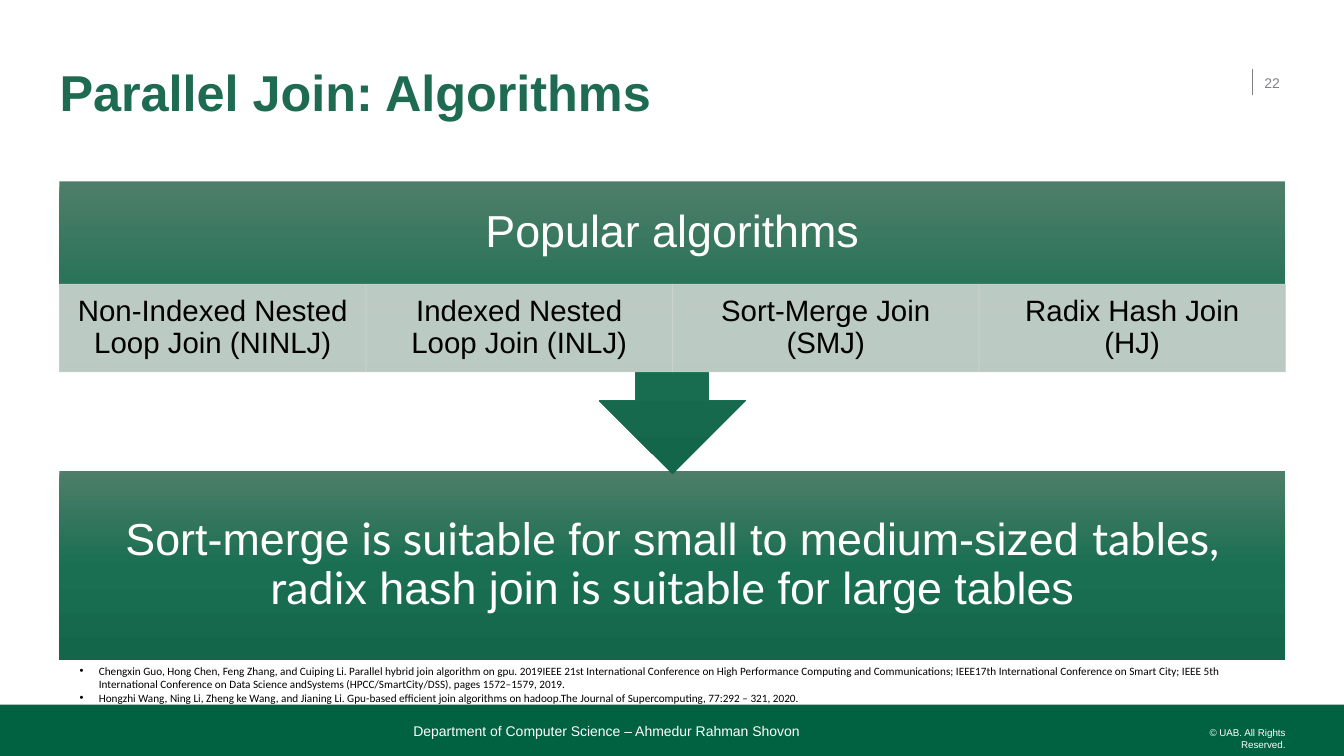
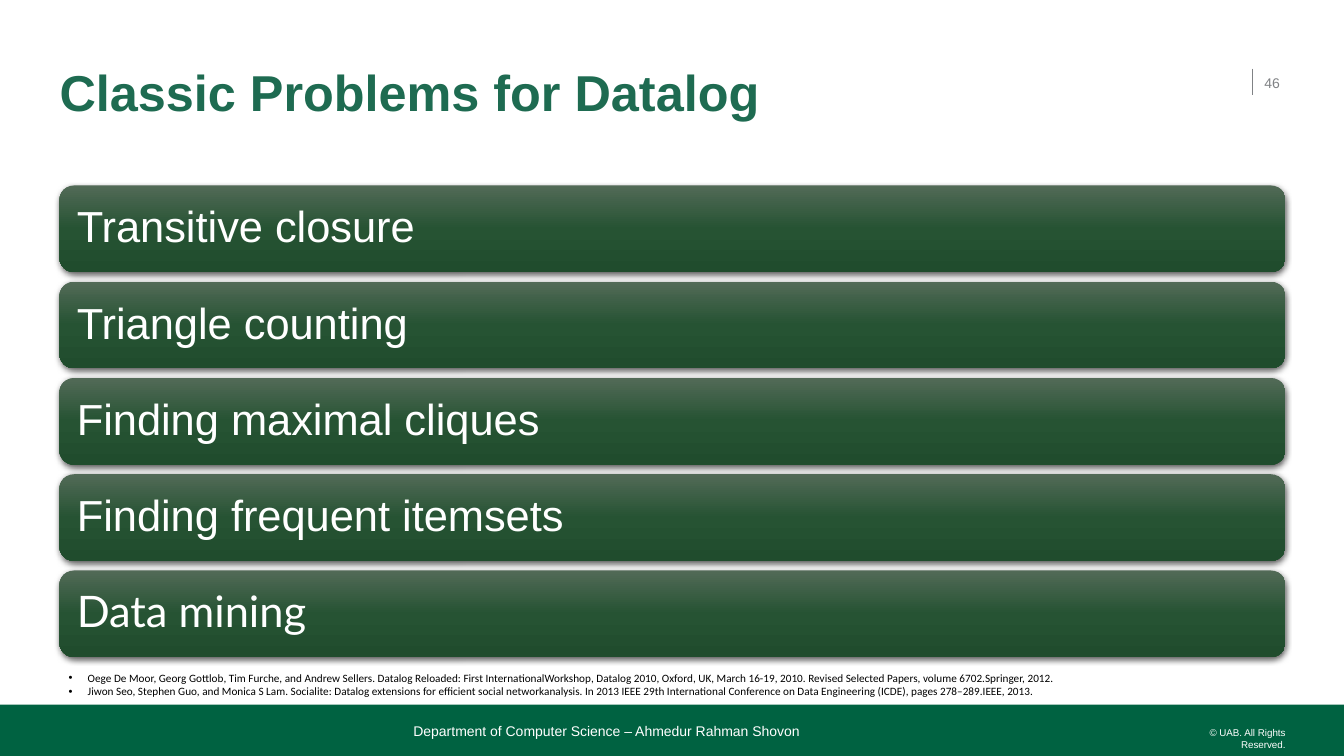
from copy import deepcopy

from lxml.etree import SubElement
from pptx import Presentation
from pptx.dml.color import RGBColor
from pptx.enum.shapes import MSO_CONNECTOR, MSO_SHAPE
from pptx.enum.text import MSO_ANCHOR, MSO_AUTO_SIZE, PP_ALIGN
from pptx.oxml.ns import qn
from pptx.util import Inches, Pt

GREEN, TITLE_GREEN, GREY = "006241", "1E6B51", "808285"
WHITE, BLACK, CELL = "FFFFFF", "000000", "CDD4D0"
JOIN_GRADIENT = ("4E7E69", "1A6F52", "14664A")
PROBLEM_GRADIENT = ("526A57", "265333", "204C2D")
LEFT, WIDTH = 0.59, 12.16
NO_INSET = (0, 0, 0, 0)

ALGORITHMS = ("Non-Indexed Nested Loop Join (NINLJ)", "Indexed Nested Loop Join (INLJ)",
              "Sort-Merge Join (SMJ)", "Radix Hash Join (HJ)")
CONCLUSION = (("Sort-merge", "Arial"), (" is suitable", "Lato"),
              (" for small to medium-sized ", "Arial"), ("tables, radix", "Lato"),
              (" hash join", "Arial"), (" is suitable", "Lato"), (" for large tables", "Arial"))
PROBLEMS = (("Transitive closure", "Arial"), ("Triangle counting", "Arial"),
            ("Finding maximal cliques", "Arial"), ("Finding frequent itemsets", "Arial"),
            ("Data mining", "Lato"))
JOIN_REFERENCES = (
    "Chengxin Guo, Hong Chen, Feng Zhang, and Cuiping Li. Parallel hybrid join algorithm on gpu. "
    "2019IEEE 21st International Conference on High Performance Computing and Communications; "
    "IEEE17th International Conference on Smart City; IEEE 5th International Conference on Data "
    "Science andSystems (HPCC/SmartCity/DSS), pages 1572–1579, 2019.",
    "Hongzhi Wang, Ning Li, Zheng ke Wang, and Jianing Li. Gpu-based efficient join algorithms on "
    "hadoop.The Journal of Supercomputing, 77:292 – 321, 2020.")
DATALOG_REFERENCES = (
    "Oege De Moor, Georg Gottlob, Tim Furche, and Andrew Sellers. Datalog Reloaded: First "
    "InternationalWorkshop, Datalog 2010, Oxford, UK, March 16-19, 2010. Revised Selected Papers, "
    "volume 6702.Springer, 2012.",
    "Jiwon Seo, Stephen Guo, and Monica S Lam. Socialite: Datalog extensions for efficient social "
    "networkanalysis. In 2013 IEEE 29th International Conference on Data Engineering (ICDE), "
    "pages 278–289.IEEE, 2013.")


def rgb(value):
    """Turn a hex string into a colour."""
    return RGBColor.from_string(value)


def place(sp, left, top, width, height):
    """Move and size a shape, in inches."""
    sp.left, sp.top = Inches(left), Inches(top)
    sp.width, sp.height = Inches(width), Inches(height)


def set_frame(tf, insets, anchor):
    """Set wrapping, insets (left, top, right, bottom) and anchor."""
    tf.auto_size = MSO_AUTO_SIZE.NONE
    tf.word_wrap = True
    tf.vertical_anchor = anchor
    tf.margin_left, tf.margin_top, tf.margin_right, tf.margin_bottom = map(Inches, insets)


def add_run(p, text, size, color, font="Arial", bold=False):
    """Append one formatted run to a paragraph."""
    r = p.add_run()
    r.text = text
    r.font.name, r.font.size, r.font.bold = font, Pt(size), bold
    r.font.color.rgb = rgb(color)


def write(sp, runs, size, color, insets=NO_INSET, anchor=MSO_ANCHOR.MIDDLE,
          align=PP_ALIGN.LEFT, spacing=0.9, bold=False):
    """Fill a shape with one paragraph of (text, font) runs."""
    set_frame(sp.text_frame, insets, anchor)
    p = sp.text_frame.paragraphs[0]
    p.alignment, p.line_spacing = align, spacing
    for text, font in runs:
        add_run(p, text, size, color, font, bold)


def add_label(slide, box, text, size, color, **style):
    """Add a text box with one line of text."""
    sp = slide.shapes.add_textbox(*map(Inches, box))
    write(sp, [(text, "Arial")], size, color, spacing=1.0, **style)


def add_block(slide, kind, box):
    """Add a preset shape with neither line nor shadow."""
    sp = slide.shapes.add_shape(kind, *map(Inches, box))
    sp.shadow.inherit = False
    sp.line.fill.background()
    return sp


def fill_solid(sp, color):
    """Give a shape a plain fill."""
    sp.fill.solid()
    sp.fill.fore_color.rgb = rgb(color)


def fill_gradient(sp, colors):
    """Give a shape a downward gradient with evenly spaced stops."""
    sp.fill.gradient()
    sp.fill.gradient_angle = 270
    stops = sp._element.spPr.find(".//" + qn("a:gsLst"))
    while len(stops) < len(colors):
        stops.append(deepcopy(stops[-1]))
    for i, (stop, color) in enumerate(zip(sp.fill.gradient_stops, colors)):
        stop.color.rgb = rgb(color)
        stop.position = i / (len(colors) - 1)


def set_alpha(color_parent, percent):
    """Make every plain colour below an element partly opaque."""
    for color in color_parent.iter(qn("a:srgbClr")):
        SubElement(color, qn("a:alpha"), val=str(percent * 1000))


def add_shadow(sp):
    """Give a shape a soft shadow below it."""
    effects = sp._element.spPr.find(qn("a:effectLst"))
    shadow = SubElement(effects, qn("a:outerShdw"), blurRad=str(Pt(4.5)), dist=str(Pt(1.5)),
                        dir="5400000", algn="ctr", rotWithShape="0")
    SubElement(shadow, qn("a:srgbClr"), val=BLACK)
    set_alpha(shadow, 63)


def add_references(slide, box, references):
    """Put the bulleted references in the body placeholder."""
    sp = slide.placeholders[1]
    place(sp, *box)
    tf = sp.text_frame
    set_frame(tf, (0.1, 0.05, 0.1, 0.05), MSO_ANCHOR.TOP)
    for i, reference in enumerate(references):
        p = tf.add_paragraph() if i else tf.paragraphs[0]
        p.space_before = Pt(0)
        pPr = p._p.get_or_add_pPr()
        pPr.set("marL", str(Inches(0.19)))
        pPr.set("indent", str(Inches(-0.19)))
        SubElement(pPr, qn("a:buFont"), typeface="Arial")
        SubElement(pPr, qn("a:buChar"), char="•")
        add_run(p, reference, 8, BLACK, "Calibri")


def add_base_slide(prs, title, number):
    """Add a slide with its title, page number and footer band."""
    slide = prs.slides.add_slide(prs.slide_layouts[1])
    place(slide.shapes.title, LEFT, 0.52, 11.63, 0.84)
    write(slide.shapes.title, [(title, "Arial")], 36, TITLE_GREEN, bold=True)

    rule = slide.shapes.add_connector(MSO_CONNECTOR.STRAIGHT, Inches(12.42), Inches(0.68),
                                      Inches(12.42), Inches(0.94))
    rule.line.color.rgb = rgb(GREY)
    rule.line.width = Pt(1)
    SubElement(rule._element.spPr, qn("a:effectLst"))
    add_label(slide, (12.54, 0.62, 0.33, 0.4), number, 10, GREY)

    fill_solid(add_block(slide, MSO_SHAPE.RECTANGLE, (0, 6.99, 13.33, 0.51)), GREEN)
    add_label(slide, (4.1, 7.11, 7.08, 0.23),
              "Department of Computer Science – Ahmedur Rahman Shovon", 10, WHITE,
              anchor=MSO_ANCHOR.BOTTOM)
    add_label(slide, (11.65, 7.21, 1.1, 0.24), "© UAB. All Rights Reserved.", 7, WHITE,
              anchor=MSO_ANCHOR.TOP, align=PP_ALIGN.RIGHT)
    return slide


def add_join_slide(prs):
    """Build the slide on parallel join algorithms."""
    slide = add_base_slide(prs, "Parallel Join: Algorithms", "22")
    conclusion = add_block(slide, MSO_SHAPE.RECTANGLE, (LEFT, 4.67, WIDTH, 1.88))
    fill_gradient(conclusion, JOIN_GRADIENT)
    write(conclusion, CONCLUSION, 32, WHITE, (0.25,) * 4, align=PP_ALIGN.CENTER)

    callout = add_block(slide, MSO_SHAPE.DOWN_ARROW_CALLOUT, (LEFT, 1.8, WIDTH, 2.9))
    fill_gradient(callout, JOIN_GRADIENT)
    write(callout, [("Popular algorithms", "Arial")], 32, WHITE, (0.25, 0.25, 0.25, 1.11),
          align=PP_ALIGN.CENTER)

    width = WIDTH / len(ALGORITHMS)
    for i, algorithm in enumerate(ALGORITHMS):
        cell = add_block(slide, MSO_SHAPE.RECTANGLE, (LEFT + i * width, 2.82, width, 0.87))
        fill_solid(cell, CELL)
        cell.line.color.rgb = rgb(CELL)
        cell.line.width = Pt(0.5)
        set_alpha(cell._element.spPr, 90)
        write(cell, [(algorithm, "Arial")], 21, BLACK, (0.16, 0.03, 0.16, 0.03),
              align=PP_ALIGN.CENTER)
    add_references(slide, (0.69, 6.54, 11.85, 0.5), JOIN_REFERENCES)


def add_problem_slide(prs):
    """Build the slide on classic Datalog problems."""
    slide = add_base_slide(prs, "Classic Problems for Datalog", "46")
    first_top, last_top = 1.84, 5.66
    step = (last_top - first_top) / (len(PROBLEMS) - 1)
    for i, problem in enumerate(PROBLEMS):
        bar = add_block(slide, MSO_SHAPE.ROUNDED_RECTANGLE,
                        (LEFT, first_top + i * step, WIDTH, 0.86))
        fill_gradient(bar, PROBLEM_GRADIENT)
        add_shadow(bar)
        write(bar, [problem], 31, WHITE, (0.13,) * 4)
    add_references(slide, (0.58, 6.61, 11.08, 0.37), DATALOG_REFERENCES)


def main():
    """Build and save the presentation."""
    prs = Presentation()
    prs.slide_width, prs.slide_height = Inches(13.33), Inches(7.5)
    add_join_slide(prs)
    add_problem_slide(prs)
    prs.save("out.pptx")


if __name__ == "__main__":
    main()
